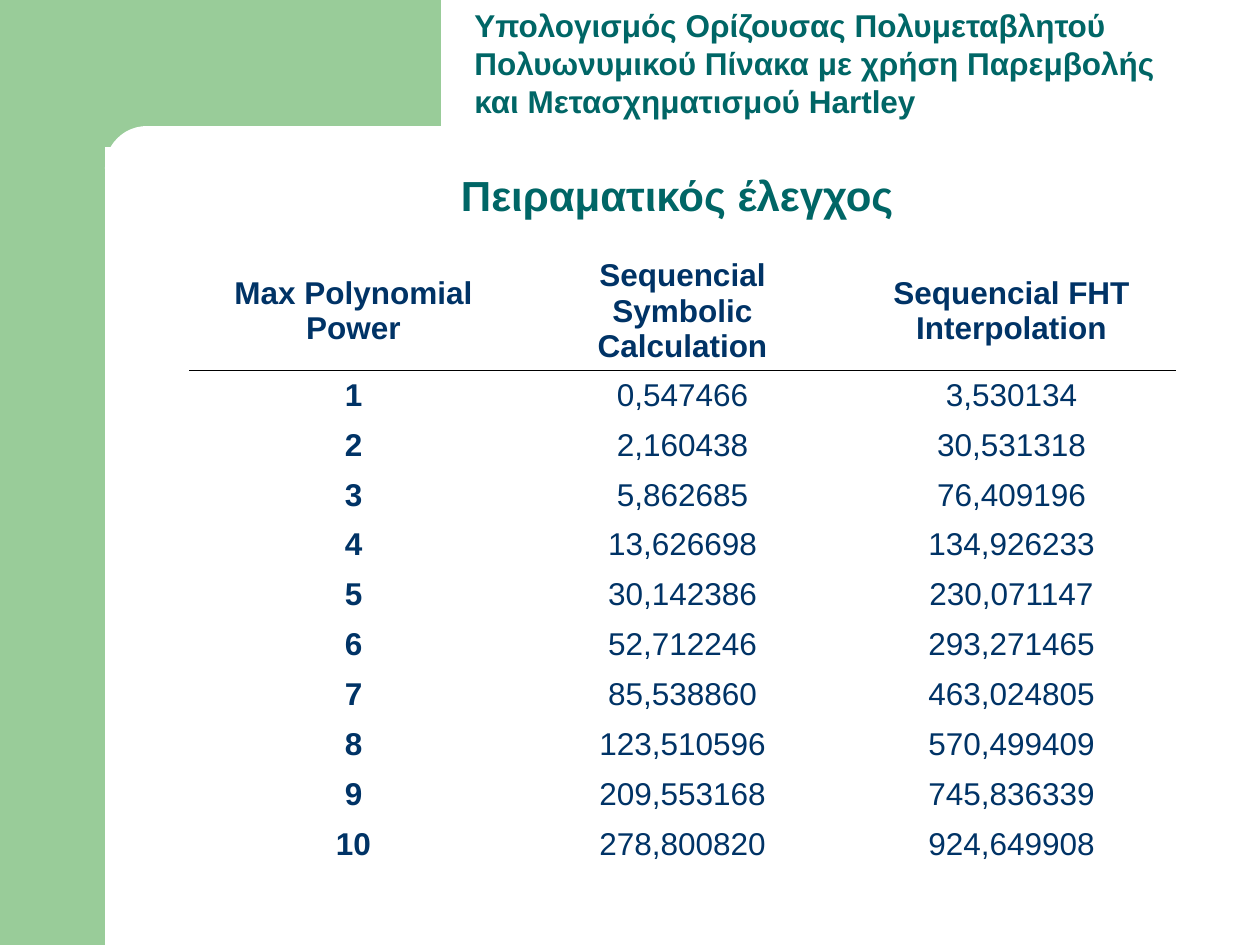
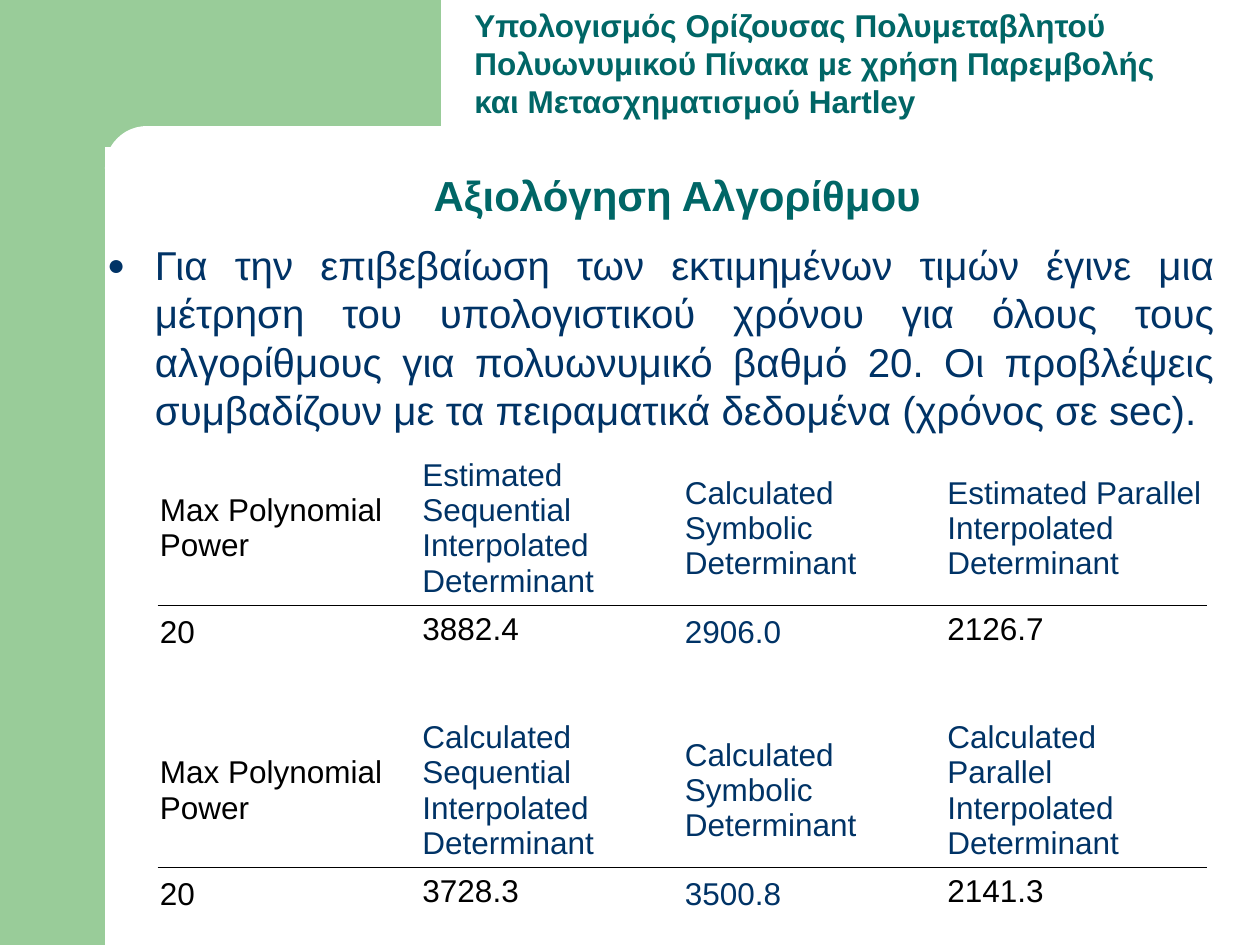
from dataclasses import dataclass
from lxml import etree
from pptx import Presentation, util as u
from pptx.dml.color import RGBColor
from pptx.enum import shapes, text
from pptx.oxml import ns

Kind, Align, Anchor = shapes.MSO_SHAPE, text.PP_ALIGN, text.MSO_ANCHOR


@dataclass(frozen=True)
class Theme:
    """Colours, font and type sizes of the deck."""
    green: str = "99CC99"
    teal: str = "006666"
    navy: str = "003366"
    black: str = "000000"
    white: str = "FFFFFF"
    font: str = "Arial"
    head: int = 24
    body: int = 23
    small: int = 18


T = Theme()
WIDE, HIGH = u.Inches(10), u.Inches(7.5)
COLS, ROWS = 120, 90
PLAIN = "{2D5ABB26-0587-4C30-8999-92F81FD0307C}"
TOPIC = ("Υπολογισμός Ορίζουσας Πολυμεταβλητού Πολυωνυμικού Πίνακα "
         "με χρήση Παρεμβολής και Μετασχηματισμού Hartley")
CLAIM = ("Για την επιβεβαίωση των εκτιμημένων τιμών έγινε μια μέτρηση του "
         "υπολογιστικού χρόνου για όλους τους αλγορίθμους για πολυωνυμικό "
         "βαθμό 20. Οι προβλέψεις συμβαδίζουν με τα πειραματικά δεδομένα "
         "(χρόνος σε sec).")
TIMES = [
    ("Max Polynomial Power", "Sequencial Symbolic Calculation",
     "Sequencial FHT Interpolation"),
    ("1", "0,547466", "3,530134"),
    ("2", "2,160438", "30,531318"),
    ("3", "5,862685", "76,409196"),
    ("4", "13,626698", "134,926233"),
    ("5", "30,142386", "230,071147"),
    ("6", "52,712246", "293,271465"),
    ("7", "85,538860", "463,024805"),
    ("8", "123,510596", "570,499409"),
    ("9", "209,553168", "745,836339"),
    ("10", "278,800820", "924,649908"),
]
CHECKS = [
    ("Max Polynomial Power", "Estimated Sequential Interpolated Determinant",
     "Calculated Symbolic Determinant",
     "Estimated Parallel Interpolated Determinant"),
    ("20", "3882.4", "2906.0", "2126.7"),
    ("", "", "", ""),
    ("Max Polynomial Power", "Calculated Sequential Interpolated Determinant",
     "Calculated Symbolic Determinant",
     "Calculated Parallel Interpolated Determinant"),
    ("20", "3728.3", "3500.8", "2141.3"),
]


def grid(col, row, wide, high):
    """Turn grid columns and rows into a box in EMU."""
    return (int(WIDE * col / COLS), int(HIGH * row / ROWS),
            int(WIDE * wide / COLS), int(HIGH * high / ROWS))


def place(shape, box):
    """Move a placeholder to a box."""
    shape.left, shape.top, shape.width, shape.height = box


def style(para, size, color, bold=False, align=None):
    """Format one paragraph."""
    font = para.font
    font.name, font.size, font.bold = T.font, u.Pt(size), bold
    font.color.rgb = RGBColor.from_string(color)
    para.alignment = align


def paint(fill, color):
    """Fill with a colour, or leave clear when there is none."""
    if color:
        fill.solid()
        fill.fore_color.rgb = RGBColor.from_string(color)
    else:
        fill.background()


def block(slide, kind, box, color):
    """Draw a plain filled shape."""
    shape = slide.shapes.add_shape(kind, *box)
    paint(shape.fill, color)
    shape.line.fill.background()
    shape.shadow.inherit = False
    return shape


def label(slide, box, words):
    """Write the running topic of the deck."""
    shape = slide.shapes.add_textbox(*box)
    shape.text_frame.word_wrap = True
    para = shape.text_frame.paragraphs[0]
    para.text = words
    para.space_before = u.Pt(11.2)
    style(para, T.small, T.teal, True)
    return shape


def frame(deck, slide):
    """Move the bands and the topic into the slide master."""
    parts = [
        block(slide, Kind.RECTANGLE, grid(0, 0, 10, ROWS), T.green),
        block(slide, Kind.RECTANGLE, grid(9, 0, 33, 14), T.green),
        block(slide, Kind.ROUNDED_RECTANGLE, grid(10, 12, 67, 8), T.white),
        label(slide, grid(44, 0, 68, 12), TOPIC),
    ]
    parts[2].adjustments[0] = 0.5
    tree = deck.slide_master.shapes.element
    for num, part in enumerate(parts):
        part.element.xpath(".//p:cNvPr")[0].set("id", str(20 + num))
        tree.insert(2 + num, part.element)


def title(slide, words):
    """Fill the title placeholder."""
    shape = slide.shapes.title
    place(shape, grid(12, 15, 105, 6.6))
    area = shape.text_frame
    area.auto_size = text.MSO_AUTO_SIZE.NONE
    area.vertical_anchor = Anchor.BOTTOM
    para = area.paragraphs[0]
    para.text, para.line_spacing = words, 0.9
    style(para, T.head, T.teal, True, Align.CENTER)


def bullet(slide, words):
    """Fill the body placeholder with one justified bullet."""
    shape = slide.placeholders[1]
    place(shape, grid(9, 22.3, 108, 20.6))
    area = shape.text_frame
    area.auto_size = text.MSO_AUTO_SIZE.NONE
    para = area.paragraphs[0]
    para.text, para.space_before = words, u.Pt(5.8)
    props = para._p.get_or_add_pPr()
    props.set("marL", str(u.Inches(0.38)))
    props.set("indent", str(-u.Inches(0.38)))
    tint = etree.SubElement(props, ns.qn("a:buClr"))
    etree.SubElement(tint, ns.qn("a:srgbClr"), val=T.navy)
    etree.SubElement(props, ns.qn("a:buSzPct"), val="75000")
    etree.SubElement(props, ns.qn("a:buChar"), char="●")
    style(para, T.body, T.navy, align=Align.JUSTIFY)


def rule(cell):
    """Draw a thin border below a cell."""
    line = etree.Element(ns.qn("a:lnB"), w=str(u.Pt(0.45)))
    fill = etree.SubElement(line, ns.qn("a:solidFill"))
    etree.SubElement(fill, ns.qn("a:srgbClr"), val=T.black)
    cell._tc.get_or_add_tcPr().insert(0, line)


def table(slide, box, data, highs, heads, inset, color, look):
    """Build a table with ruled header rows and a look for each cell."""
    sheet = slide.shapes.add_table(len(data), len(data[0]), *box).table
    sheet._tbl.tblPr.find(ns.qn("a:tableStyleId")).text = PLAIN
    sheet.first_row = sheet.horz_banding = False
    for row, high in zip(sheet.rows, highs):
        row.height = u.Inches(high)
    for r, line in enumerate(data):
        for c, words in enumerate(line):
            cell = sheet.cell(r, c)
            paint(cell.fill, color)
            cell.margin_left = cell.margin_right = u.Inches(inset)
            if r in heads:
                rule(cell)
            para = cell.text_frame.paragraphs[0]
            para.text = words
            ink, bold, align, cell.vertical_anchor = look(r in heads, c)
            style(para, T.small, ink, bold, align)


def timed(head, col):
    """Give the look of a cell in the timing table."""
    return T.navy, head or col == 0, Align.CENTER, Anchor.MIDDLE


def checked(head, col):
    """Give the look of a cell in the evaluation table."""
    navy = col > 0 if head else col == 2
    top = not head and col in (1, 3)
    return (T.navy if navy else T.black, False, Align.LEFT,
            Anchor.TOP if top else Anchor.MIDDLE)


def main():
    """Build and save the deck."""
    deck = Presentation()
    deck.slide_width, deck.slide_height = WIDE, HIGH
    test = deck.slides.add_slide(deck.slide_layouts[5])
    frame(deck, test)
    title(test, "Πειραματικός έλεγχος")
    table(test, grid(18, 24, 94, 58.3), TIMES, [0.94] + [3.96 / 10] * 10, {0},
          0.08, T.white, timed)
    rate = deck.slides.add_slide(deck.slide_layouts[1])
    title(rate, "Αξιολόγηση Αλγορίθμου")
    bullet(rate, CLAIM)
    table(rate, grid(15, 43, 100, 44.2), CHECKS, [1.22, 0.43, 0.43, 1.22, 0.43],
          {0, 3}, 0.02, None, checked)
    deck.save("out.pptx")


if __name__ == "__main__":
    main()
